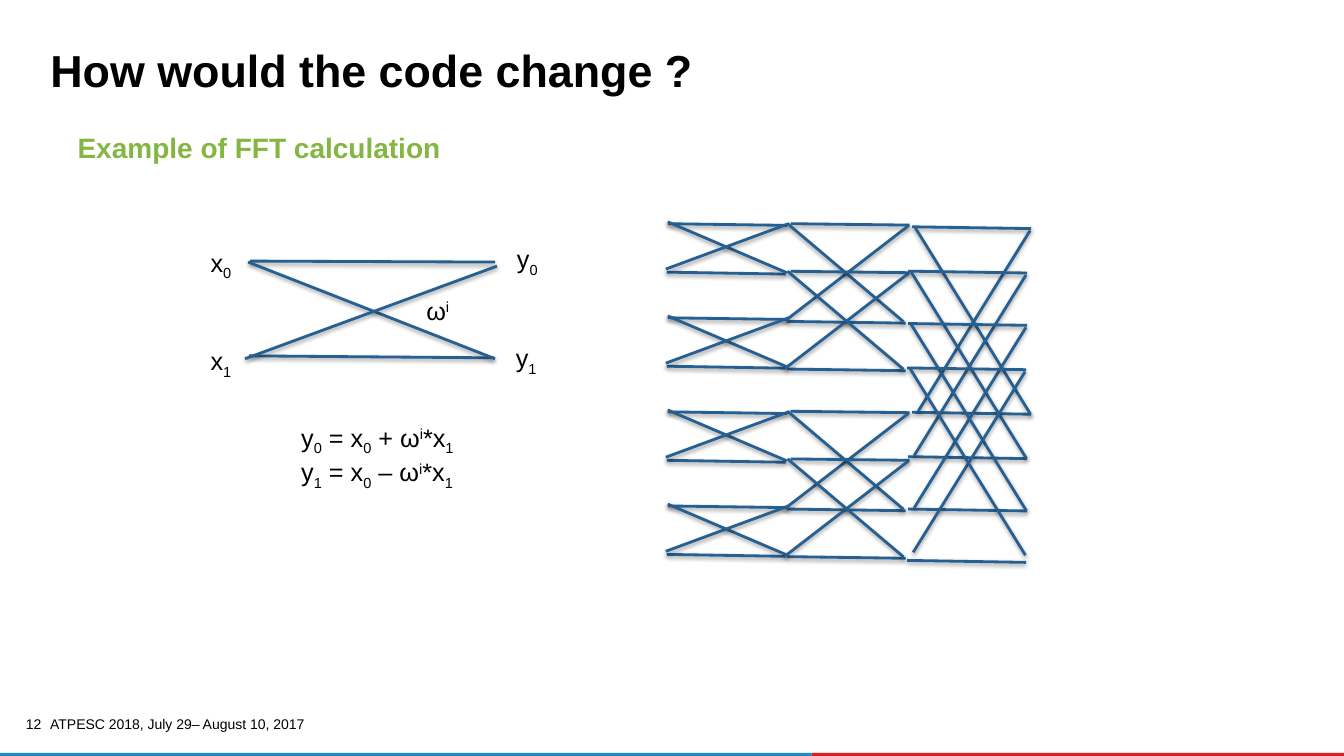
"""Build the FFT butterfly slide."""
import dataclasses

import lxml.etree
import pptx
import pptx.dml.color
import pptx.enum.shapes
import pptx.enum.text
import pptx.oxml
import pptx.oxml.ns
import pptx.util

Pt = pptx.util.Pt
RGB = pptx.dml.color.RGBColor
ANCHOR = pptx.enum.text.MSO_ANCHOR
ALIGN = pptx.enum.text.PP_ALIGN
AUTO = pptx.enum.text.MSO_AUTO_SIZE


@dataclasses.dataclass(frozen=True)
class Theme:
    font: str = "Arial"
    text: str = "000000"
    accent: str = "84B641"
    line: str = "266092"
    blue: str = "1B8DC3"
    red: str = "DA1F28"
    title: int = 32
    heading: int = 20
    label: int = 18
    footer: int = 10


THEME = Theme()
BASELINES = {"_": "-25000", "^": "30000"}
SHADOW = (
    f'<a:effectLst {pptx.oxml.ns.nsdecls("a")}>'
    '<a:outerShdw blurRad="40000" dist="20000" dir="5400000" rotWithShape="0">'
    '<a:srgbClr val="000000"><a:alpha val="38000"/></a:srgbClr>'
    '</a:outerShdw></a:effectLst>'
)


def write(sp, text, box, size=THEME.label, color=THEME.text, bold=False, spacing=1.0,
          align=ALIGN.LEFT, anchor=ANCHOR.TOP, insets=(7.2, 3.6, 7.2, 3.6),
          wrap=True, auto=AUTO.NONE):
    """Fill sp with lines whose |-separated runs may start with _ (sub) or ^ (super)."""
    sp.left, sp.top, sp.width, sp.height = map(Pt, box)
    tf = sp.text_frame
    tf.word_wrap, tf.auto_size, tf.vertical_anchor = wrap, auto, anchor
    tf.margin_left, tf.margin_top, tf.margin_right, tf.margin_bottom = map(Pt, insets)
    for i, line in enumerate(text.split("\n")):
        p = tf.add_paragraph() if i else tf.paragraphs[0]
        p.alignment, p.line_spacing, p.space_before = align, spacing, Pt(0)
        for part in line.split("|"):
            r = p.add_run()
            r.text = part.lstrip("_^")
            r.font.name, r.font.size, r.font.bold = THEME.font, Pt(size), bold
            r.font.color.rgb = RGB.from_string(color)
            if part[0] in BASELINES:
                r._r.get_or_add_rPr().set("baseline", BASELINES[part[0]])


def draw_butterfly(shapes, x, y, segments):
    """Draw line segments given relative to the butterfly's top left corner."""
    for x1, y1, x2, y2 in segments:
        c = shapes.add_connector(pptx.enum.shapes.MSO_CONNECTOR.STRAIGHT,
                                 Pt(x + x1), Pt(y + y1), Pt(x + x2), Pt(y + y2))
        c.line.color.rgb = RGB.from_string(THEME.line)
        c.line.width = Pt(2)
        c._element.spPr.append(pptx.oxml.parse_xml(SHADOW))


prs = pptx.Presentation()
prs.slide_width, prs.slide_height = Pt(960), Pt(540)
s = prs.slides.add_slide(prs.slide_layouts[1])

for x, width, color in ((579.6, 380.4, THEME.red), (0, 579.6, THEME.blue)):
    bar = s.shapes.add_shape(pptx.enum.shapes.MSO_SHAPE.RECTANGLE,
                             Pt(x), Pt(537.8), Pt(width), Pt(2.2))
    bar.shadow.inherit = False
    bar.fill.solid()
    bar.fill.fore_color.rgb = RGB.from_string(color)
    bar.line.fill.background()

footer = s.shapes.add_textbox(0, 0, 0, 0)
write(footer, "ATPESC 2018, July 29– August 10, 2017", (28.8, 509.8, 261.4, 14.4),
      size=THEME.footer, anchor=ANCHOR.MIDDLE)
number = s.shapes.add_textbox(0, 0, 0, 0)
write(number, "12", (13, 512.6, 16.6, 12.2), size=THEME.footer, spacing=0.9,
      align=ALIGN.RIGHT, insets=(0, 0, 0, 0))

write(s.shapes.title, "How would the code change ?", (28.8, 32.4, 895.7, 40.3),
      size=THEME.title, bold=True, spacing=0.85, anchor=ANCHOR.BOTTOM)

body = s.placeholders[1]
pPr = body.text_frame.paragraphs[0]._p.get_or_add_pPr()
pPr.set("marL", "0")
pPr.set("indent", "0")
lxml.etree.SubElement(pPr, pptx.oxml.ns.qn("a:buNone"))
write(body, "Example of FFT calculation", (48.2, 92.2, 879, 39.6), size=THEME.heading,
      color=THEME.accent, bold=True, spacing=0.9, insets=(7.2, 3.6, 7.2, 0))

network = s.shapes.add_group_shape().shapes
for i in range(4):
    draw_butterfly(network, 477, 159.8 + 67.2 * i, (
        (0, 0, 85, 1.2), (-0.7, 34.6, 84.2, 36),
        (0, -1.3, 85, 35), (-1.4, 32.4, 86.4, 0)))
for i in range(4):
    draw_butterfly(network, 564.8, 159.8 + 134 * (i // 2) + 34 * (i % 2), (
        (0, 0, 85, 1), (-2.9, 69.8, 82.1, 71),
        (-3.6, 69.1, 84.2, 1.4), (-2.2, 0, 80.6, 70)))
for x, y, drop in ((651.6, 162, 132.5), (648.7, 193.7, 132.5),
                   (648.7, 231.1, 132.5), (648, 262.8, 137.5)):
    draw_butterfly(network, x, y, (
        (0, 0, 85, 1.3), (0, drop, 85, drop + 1.4),
        (84.2, 2.7, 4.3, 131.7), (2.2, 0.7, 84.5, 133.8)))

draw_butterfly(s.shapes, 178.6, 186.5, (
    (0, 0, 175, 0.7), (-0.7, 67.7, 174.2, 69.1),
    (-1.4, 0.7, 175, 69.8), (-3.6, 69.8, 176.4, 3.6)))

for text, x, y, width in (("x|_0", 143.3, 172.8, 30.2), ("x|_1", 143.3, 243.4, 30.2),
                          ("y|_0", 362.2, 170.6, 31.7), ("y|_1", 361.4, 241.2, 31.7),
                          ("ω|^i", 297.4, 207.4, 31.7)):
    label = s.shapes.add_textbox(0, 0, 0, 0)
    write(label, text, (x, y, width, 28.8), wrap=False, auto=AUTO.SHAPE_TO_FIT_TEXT)

formulas = s.shapes.add_textbox(0, 0, 0, 0)
write(formulas, "y|_0| = x|_0| + ω|^i|*x|_1\ny|_1| = x|_0| – ω|^i|*x|_1",
      (208.1, 298.1, 145.4, 72.7), auto=AUTO.SHAPE_TO_FIT_TEXT)

prs.save("out.pptx")
